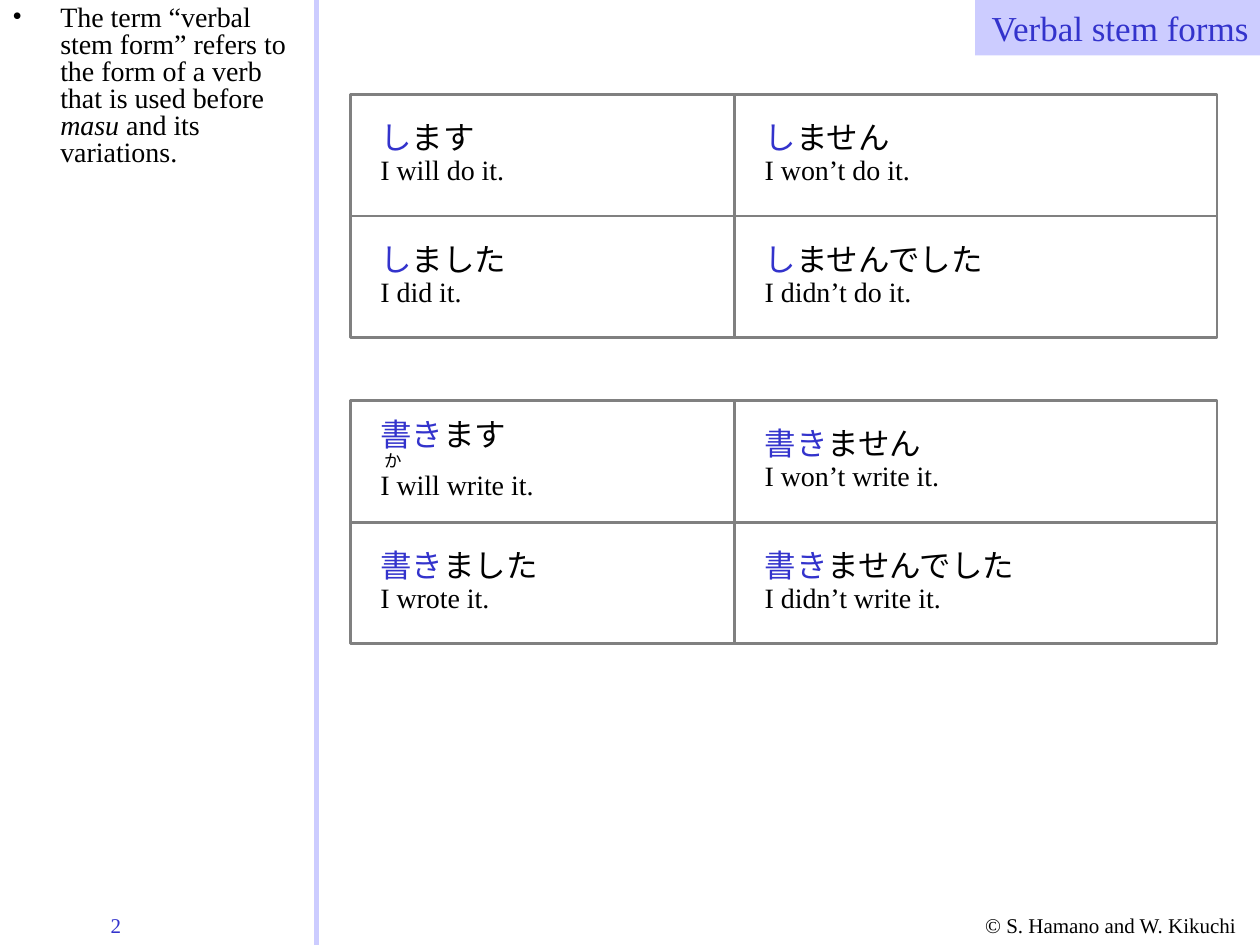
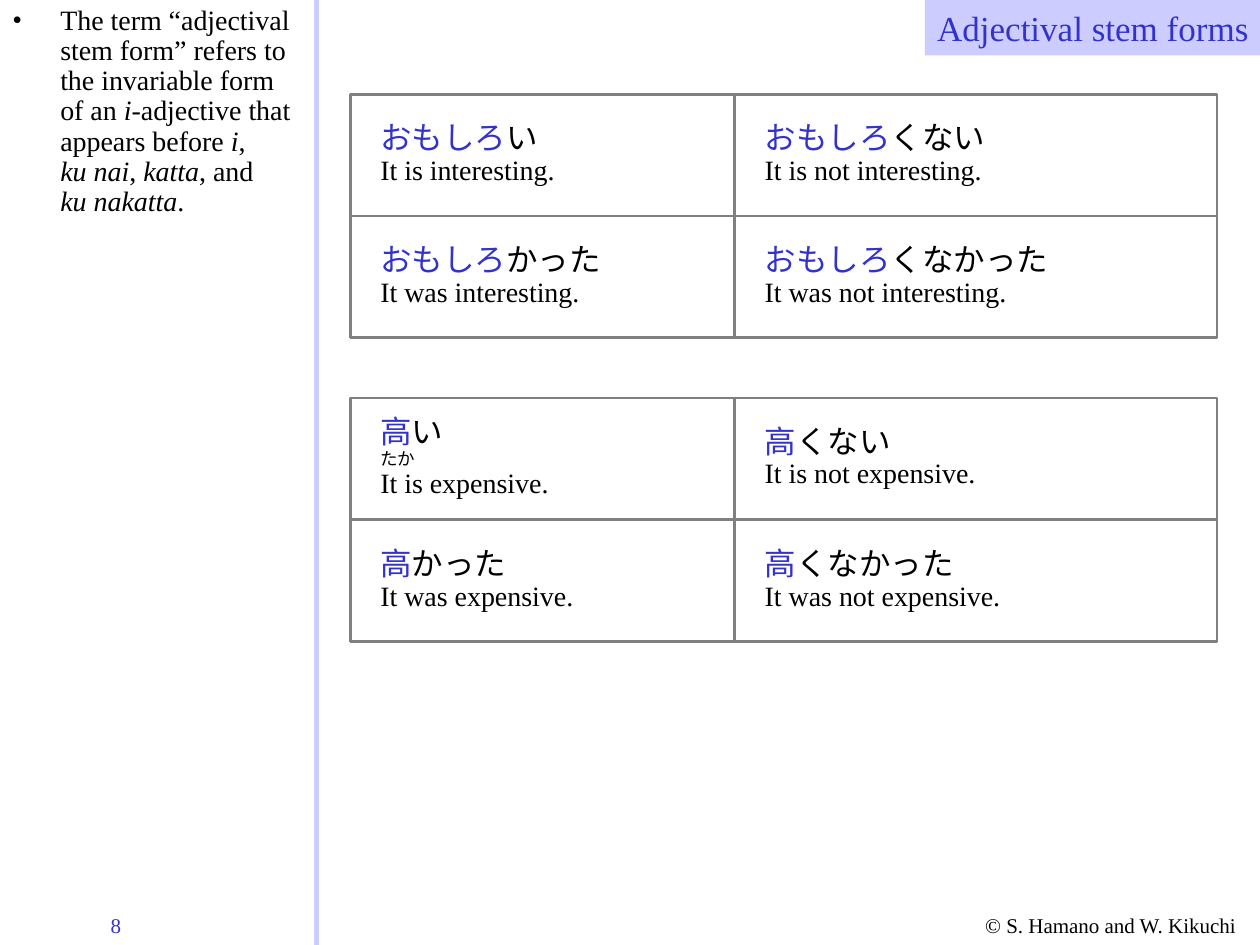
"""Build two slides on Japanese verbal and adjectival stem forms."""
from lxml import etree
from pptx import Presentation
from pptx import util as u
from pptx.dml.color import RGBColor
from pptx.enum import shapes, text
from pptx.oxml.ns import qn

COLORS = {"ink": "000000", "accent": "3333CC", "band": "CCCCFF", "grid": "808080"}
LATIN, JAPANESE = "Times New Roman", "Noto Sans CJK JP"
CREDIT = "© S. Hamano and W. Kikuchi"

SLIDES = [
    {
        "title": "Verbal stem forms", "title_width": 2.27, "number": "2",
        "note": "The term “verbal stem form” refers to the form of a verb "
                "that is used before *masu* and its variations.",
        "note_height": 1.53, "note_spacing": 0.8,
        "grids": [
            (0.75, [("し", "ます", "", "I will do it.", 1.18),
                    ("し", "ません", "", "I won’t do it.", 1.36),
                    ("し", "ました", "", "I did it.", 1.2),
                    ("し", "ませんでした", "", "I didn’t do it.", 1.95)]),
            (3.18, [("書き", "ます", " か", "I will write it.", 1.42),
                    ("書き", "ません", "", "I won’t write it.", 1.59),
                    ("書き", "ました", "", "I wrote it.", 1.45),
                    ("書き", "ませんでした", "", "I didn’t write it.", 2.2)]),
        ],
    },
    {
        "title": "Adjectival stem forms", "title_width": 2.67, "number": "8",
        "note": "The term “adjectival stem form” refers to the invariable form of an "
                "*i*-adjective that appears before *i*,\n*ku nai*, *katta*, and\n*ku nakatta*.",
        "note_height": 1.96, "note_spacing": 0.9,
        "grids": [
            (0.75, [("おもしろ", "い", "", "It is interesting.", 1.58),
                    ("おもしろ", "くない", "", "It is not interesting.", 1.95),
                    ("おもしろ", "かった", "", "It was interesting.", 1.95),
                    ("おもしろ", "くなかった", "", "It was not interesting.", 2.45)]),
            (3.16, [("高", "い", "たか", "It is expensive.", 1.53),
                    ("高", "くない", "", "It is not expensive.", 1.87),
                    ("高", "かった", "", "It was expensive.", 1.73),
                    ("高", "くなかった", "", "It was not expensive.", 2.07)]),
        ],
    },
]

DIVIDER_X = 2.51
TITLE_RIGHT, TITLE_HEIGHT = 10.01, 0.44
GRID_LEFT, GRID_WIDTH, GRID_HEIGHT = 2.78, 6.88, 1.93
COLUMNS = (GRID_LEFT, 5.83)
ROW_HEIGHT, TEXT_ROOM, TEXT_INDENT = 0.97, 0.95, 0.14
WIDTH_SLACK = 0.05


def color(name):
    return RGBColor.from_string(COLORS[name])


def style(paragraph, size, name="ink", font=LATIN):
    paragraph.font.size = u.Pt(size)
    paragraph.font.name = font
    paragraph.font.color.rgb = color(name)


def add_box(slide, left, top, width, height, wrap=False):
    box = slide.shapes.add_textbox(*map(u.Inches, (left, top, width, height)))
    box.text_frame.word_wrap = wrap
    return box.text_frame


def add_line(slide, start, end, name, width):
    line = slide.shapes.add_connector(
        shapes.MSO_CONNECTOR.STRAIGHT, *map(u.Inches, start + end))
    line.line.color.rgb = color(name)
    line.line.width = u.Pt(width)
    etree.SubElement(line._element.spPr, qn("a:effectLst"))
    return line


def add_rectangle(slide, left, top, width, height):
    rectangle = slide.shapes.add_shape(
        shapes.MSO_SHAPE.RECTANGLE, *map(u.Inches, (left, top, width, height)))
    rectangle.shadow.inherit = False
    return rectangle


def add_label(slide, place, words, name, wrap):
    frame = add_box(slide, *place, wrap=wrap)
    frame.auto_size = text.MSO_AUTO_SIZE.SHAPE_TO_FIT_TEXT
    frame.text = words
    style(frame.paragraphs[0], 12, name)


def add_note(slide, content):
    frame = add_box(slide, 0, 0, DIVIDER_X, content["note_height"], wrap=True)
    paragraph = frame.paragraphs[0]
    style(paragraph, 16)
    paragraph.line_spacing = content["note_spacing"]
    for index, part in enumerate(content["note"].split("*")):
        for line_index, words in enumerate(part.split("\n")):
            if line_index:
                paragraph.add_line_break()
            if words:
                run = paragraph.add_run()
                run.text = words
                run.font.italic = index % 2 == 1
    properties = paragraph._p.get_or_add_pPr()
    properties.set("marL", str(u.Inches(0.38)))
    properties.set("indent", str(-u.Inches(0.38)))
    defaults = properties.find(qn("a:defRPr"))
    bullet_color = etree.Element(qn("a:buClr"))
    etree.SubElement(bullet_color, qn("a:srgbClr"), val=COLORS["ink"])
    defaults.addprevious(bullet_color)
    defaults.addprevious(etree.Element(qn("a:buFont"), typeface=LATIN))
    defaults.addprevious(etree.Element(qn("a:buChar"), char="•"))


def add_title(slide, content):
    width = content["title_width"]
    band = add_rectangle(slide, TITLE_RIGHT - width, 0, width, TITLE_HEIGHT)
    band.fill.solid()
    band.fill.fore_color.rgb = color("band")
    band.line.fill.background()
    frame = band.text_frame
    frame.word_wrap = False
    frame.auto_size = text.MSO_AUTO_SIZE.SHAPE_TO_FIT_TEXT
    frame.text = content["title"]
    frame.paragraphs[0].alignment = text.PP_ALIGN.RIGHT
    style(frame.paragraphs[0], 20, "accent")


def add_japanese(paragraph, words, name="ink"):
    run = paragraph.add_run()
    run.text = words
    run.font.name = JAPANESE
    run.font.color.rgb = color(name)
    etree.SubElement(run._r.get_or_add_rPr(), qn("a:ea"), typeface=JAPANESE)


def add_form(slide, left, row_top, form):
    stem, ending, reading, meaning, width = form
    height = 0.76 if reading else 0.61
    top = row_top + (TEXT_ROOM - height) / 2
    frame = add_box(slide, left, top, width + WIDTH_SLACK, height)
    japanese = frame.paragraphs[0]
    style(japanese, 18, font=JAPANESE)
    add_japanese(japanese, stem, "accent")
    add_japanese(japanese, ending)
    if reading:
        paragraph = frame.add_paragraph()
        style(paragraph, 10, font=JAPANESE)
        add_japanese(paragraph, reading)
    english = frame.add_paragraph()
    english.text = meaning
    style(english, 16)
    for paragraph in frame.paragraphs:
        paragraph.line_spacing = 0.9
    frame.word_wrap = True


def add_grid(slide, top, forms):
    for index, form in enumerate(forms):
        row, column = divmod(index, 2)
        add_form(slide, COLUMNS[column] + TEXT_INDENT, top + row * ROW_HEIGHT, form)
    frame = add_rectangle(slide, GRID_LEFT, top, GRID_WIDTH, GRID_HEIGHT)
    frame.fill.background()
    frame.line.color.rgb = color("grid")
    frame.line.width = u.Pt(1.5)
    middle = top + GRID_HEIGHT / 2
    row_line = add_line(slide, (GRID_LEFT, middle), (GRID_LEFT + GRID_WIDTH, middle), "grid", 1.5)
    row_line.begin_connect(frame, 1)
    row_line.end_connect(frame, 3)
    add_line(slide, (COLUMNS[1], top), (COLUMNS[1], top + GRID_HEIGHT), "grid", 1.5)


def main():
    presentation = Presentation()
    presentation.slide_width, presentation.slide_height = u.Inches(10), u.Inches(7.5)
    for content in SLIDES:
        slide = presentation.slides.add_slide(presentation.slide_layouts[6])
        add_label(slide, (7.72, 7.19, 2.28, 0.3), CREDIT, "ink", True)
        add_label(slide, (0.78, 7.19, 0.89, 0.3), content["number"], "accent", False)
        add_line(slide, (DIVIDER_X, 0), (DIVIDER_X, 7.5), "band", 3)
        add_note(slide, content)
        add_title(slide, content)
        for top, forms in content["grids"]:
            add_grid(slide, top, forms)
    presentation.save("out.pptx")


if __name__ == "__main__":
    main()
